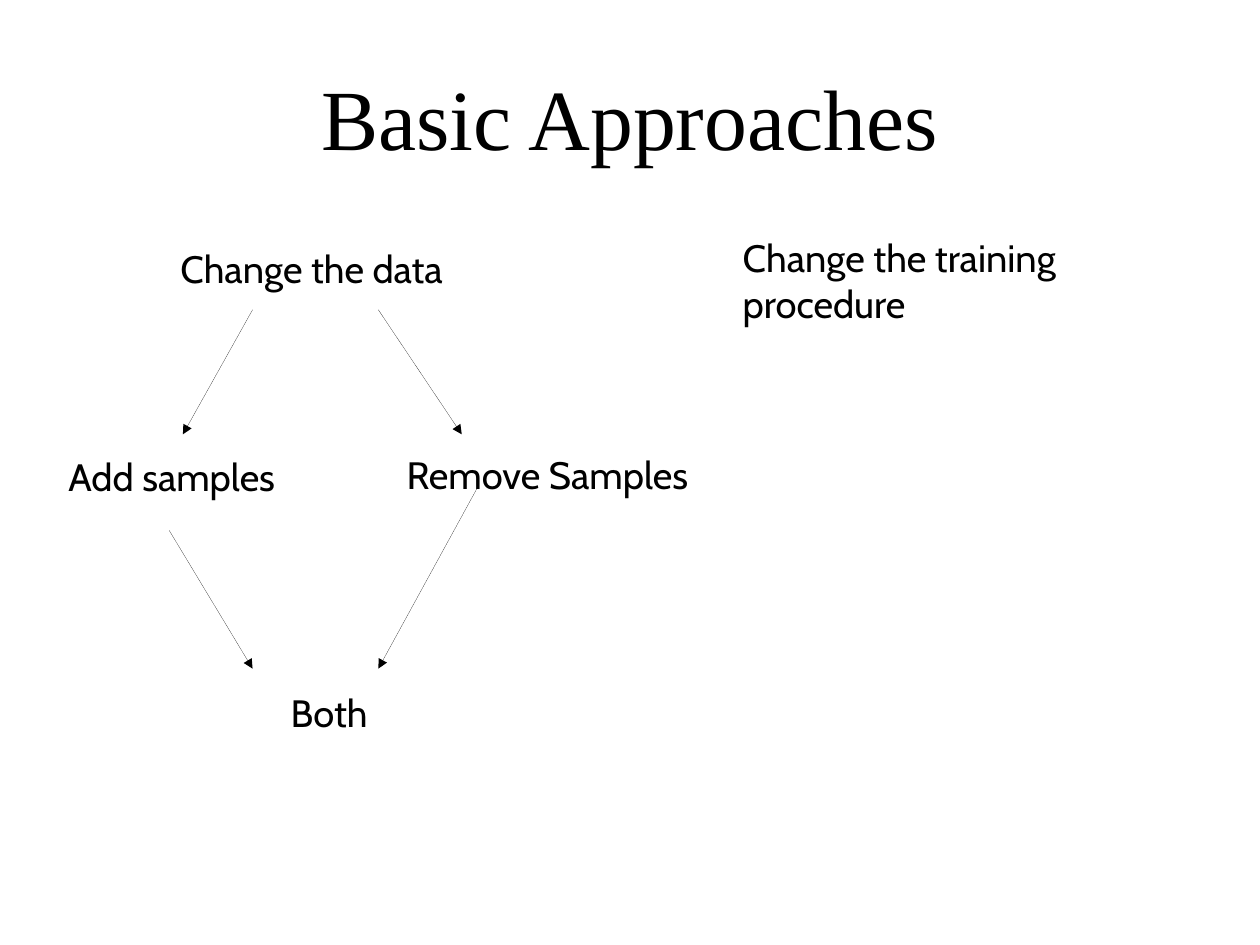
from pptx import Presentation
from pptx.dml.color import RGBColor as Rgb
from pptx.enum.shapes import MSO_CONNECTOR as Connector
from pptx.enum.text import MSO_ANCHOR as Anchor, MSO_AUTO_SIZE as AutoSize, PP_ALIGN as Align
from pptx.oxml.ns import qn
from pptx.util import Inches, Pt
from lxml.etree import SubElement

COLORS = {"ink": "000000", "paper": "FFFFFF"}
CM_PER_INCH = 2.54


class SlideBuilder:
    """Hold the style and the current slide, and add its elements."""

    def __init__(self, page):
        self.page = page
        self.ink = Rgb.from_string(COLORS["ink"])
        self.hairline = Pt(0.01)
        self.title_font = {"name": "Times New Roman", "size": Pt(54)}
        self.label_font = {"name": "Cabin", "size": Pt(24)}
        fill = page.background.fill
        fill.solid()
        fill.fore_color.rgb = Rgb.from_string(COLORS["paper"])

    def text(self, words, area, font, align=Align.LEFT, **frame_format):
        box = self.page.shapes.add_textbox(*map(Inches, area))
        frame = box.text_frame
        frame_format = {"word_wrap": True, "auto_size": AutoSize.SHAPE_TO_FIT_TEXT, **frame_format}
        for name, value in frame_format.items():
            setattr(frame, name, value)
        para = frame.paragraphs[0]
        para.alignment = align
        span = para.add_run()
        span.text = words
        for name, value in font.items():
            setattr(span.font, name, value)
        span.font.color.rgb = self.ink

    def title(self, words, area):
        margins = {f"margin_{side}": 0 for side in ("left", "top", "right", "bottom")}
        self.text(words, area, self.title_font, Align.CENTER,
                  vertical_anchor=Anchor.MIDDLE, **margins)

    def label(self, words, area, align=Align.LEFT):
        self.text(words, area, self.label_font, align)

    def arrow(self, start, end):
        line = self.page.shapes.add_connector(Connector.STRAIGHT, *map(Inches, start + end))
        line.line.color.rgb = self.ink
        line.line.width = self.hairline
        SubElement(line.line._get_or_add_ln(), qn("a:tailEnd"), type="triangle")
        SubElement(line._element.spPr, qn("a:effectLst"))


def main():
    """Build the slide of basic approaches."""
    deck = Presentation()
    deck.slide_width = Inches(28 / CM_PER_INCH)
    deck.slide_height = Inches(21 / CM_PER_INCH)
    builder = SlideBuilder(deck.slides.add_slide(deck.slide_layouts[6]))

    builder.title("Basic Approaches", (0.55, 0.33, 9.92, 1.38))
    labels = [
        ("Change the data", (1.48, 2.1, 2.57, 1.01)),
        ("Change the training procedure", (6.4, 2, 3.1, 1.46)),
        ("Add samples", (0.5, 3.92, 2.2, 1.01)),
        ("Remove Samples", (3.46, 3.9, 2.74, 1.01)),
        ("Both", (1.23, 5.98, 3.3, 0.55), Align.CENTER),
    ]
    for label in labels:
        builder.label(*label)

    left, right = 2.21, 3.31
    split, branch, merge = 2.71, 3.8, 5.85
    arrows = [
        ((left, split), (1.6, branch)),
        ((right, split), (4.04, branch)),
        ((1.48, 4.64), (left, merge)),
        ((4.17, 4.28), (right, merge)),
    ]
    for start, end in arrows:
        builder.arrow(start, end)

    deck.save("out.pptx")


if __name__ == "__main__":
    main()
